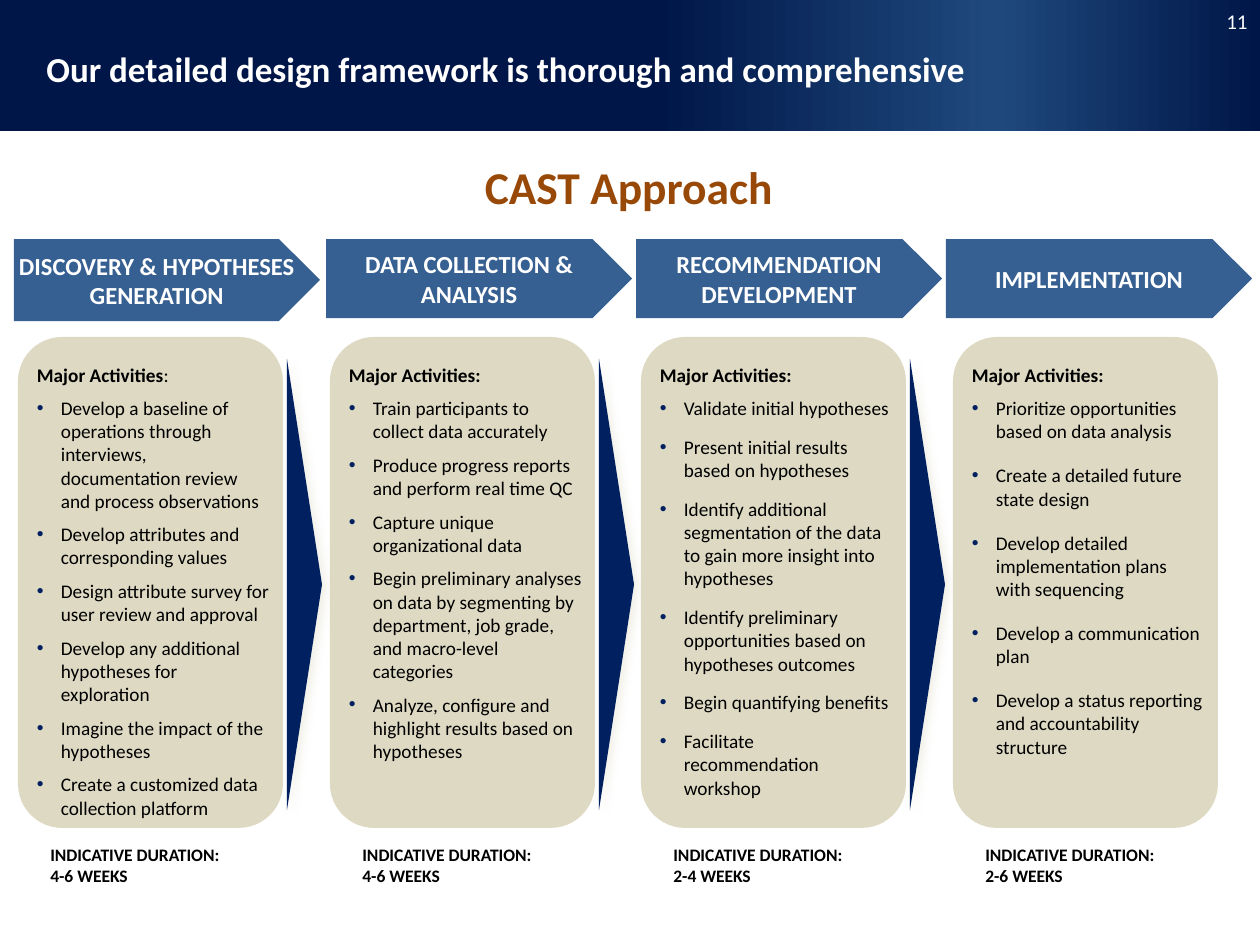
from lxml.etree import SubElement
from pptx import Presentation
from pptx.dml.color import RGBColor
from pptx.enum.shapes import MSO_SHAPE
from pptx.enum.text import MSO_ANCHOR, MSO_AUTO_SIZE, PP_ALIGN
from pptx.oxml.ns import qn
from pptx.util import Emu, Pt

COLORS = {
    "navy": "001648", "glow": "1F497D", "arrow": "002060", "step": "376092",
    "panel": "DDD9C3", "heading": "984807", "shadow": "EEECE1",
    "white": "FFFFFF", "black": "000000",
}
PX = 914400 / 126
FONT = "Calibri"

# Each phase: heading, its left, top and height, activities, space after, duration
PHASES = [
    ("DISCOVERY & HYPOTHESES GENERATION", 14, 82, [
        "Develop a baseline of operations through interviews, "
        "documentation review and process observations",
        "Develop attributes and corresponding values",
        "Design attribute survey for user review and approval",
        "Develop any additional hypotheses for exploration",
        "Imagine the impact of the hypotheses",
        "Create a customized data collection platform",
    ], 0, "4-6 WEEKS"),
    ("DATA COLLECTION & ANALYSIS", 326, 79, [
        "Train participants to collect data accurately",
        "Produce progress reports and perform real time QC",
        "Capture unique organizational data",
        "Begin preliminary analyses on data by segmenting by department, "
        "job grade, and macro-level categories",
        "Analyze, configure and highlight results based on hypotheses",
    ], 0, "4-6 WEEKS"),
    ("RECOMMENDATION DEVELOPMENT", 636, 79, [
        "Validate initial hypotheses",
        "Present initial results based on hypotheses",
        "Identify additional segmentation of the data to gain more insight "
        "into hypotheses",
        "Identify preliminary opportunities based on hypotheses outcomes",
        "Begin quantifying benefits",
        "Facilitate recommendation workshop",
    ], 3, "2-4 WEEKS"),
    ("IMPLEMENTATION", 946, 79, [
        "Prioritize opportunities based on data analysis",
        "Create a detailed future state design",
        "Develop detailed implementation plans with sequencing",
        "Develop a communication plan",
        "Develop a status reporting and accountability structure",
    ], 6, "2-6 WEEKS"),
]


def px(value):
    return Emu(round(value * PX))


class SlideBuilder:
    def __init__(self, slide):
        self.slide = slide

    def format(self, para, size, color, bold):
        for span in para.runs:
            span.font.name = FONT
            span.font.size = Pt(size)
            span.font.bold = bold
            span.font.color.rgb = RGBColor.from_string(COLORS[color])

    def shape(self, kind, bounds, color):
        shape = self.slide.shapes.add_shape(kind, *map(px, bounds))
        shape.shadow.inherit = False
        shape.fill.solid()
        shape.fill.fore_color.rgb = RGBColor.from_string(COLORS[color])
        shape.line.fill.background()
        return shape

    def text(self, bounds, lines, size, color, bold=True, align=PP_ALIGN.LEFT,
             anchor=MSO_ANCHOR.TOP, wrap=True, grow=False):
        box = self.slide.shapes.add_textbox(*map(px, bounds))
        frame = box.text_frame
        frame.word_wrap = wrap
        frame.vertical_anchor = anchor
        frame.auto_size = MSO_AUTO_SIZE.SHAPE_TO_FIT_TEXT if grow else MSO_AUTO_SIZE.NONE
        frame.text = "\n".join(lines)
        for para in frame.paragraphs:
            para.alignment = align
            self.format(para, size, color, bold)
        return box

    def banner(self, bounds, stops):
        banner = self.shape(MSO_SHAPE.RECTANGLE, bounds, "navy")
        banner.fill.gradient()
        banner.fill.gradient_angle = 0
        stop_list = next(banner._element.spPr.iter(qn("a:gsLst")))
        for old_stop in list(stop_list):
            stop_list.remove(old_stop)
        for percent, color in stops:
            stop = SubElement(stop_list, qn("a:gs"), pos=str(percent * 1000))
            SubElement(stop, qn("a:srgbClr"), val=COLORS[color])

    def step(self, bounds, label):
        frame = self.shape(MSO_SHAPE.PENTAGON, bounds, "step").text_frame
        frame.margin_left = frame.margin_right = 0
        frame.margin_top = frame.margin_bottom = 0
        frame.vertical_anchor = MSO_ANCHOR.MIDDLE
        frame.text = label
        frame.paragraphs[0].alignment = PP_ALIGN.CENTER
        self.format(frame.paragraphs[0], 14, "white", True)

    def bullet(self, para):
        properties = para._p.get_or_add_pPr()
        properties.set("marL", str(px(24)))
        properties.set("indent", str(px(-24)))
        bullet_color = SubElement(properties, qn("a:buClr"))
        SubElement(bullet_color, qn("a:srgbClr"), val=COLORS["arrow"])
        SubElement(properties, qn("a:buFont"), typeface="Arial")
        SubElement(properties, qn("a:buChar"), char="•")

    def panel(self, bounds, activities, space_after, bold_colon):
        frame = self.shape(MSO_SHAPE.ROUNDED_RECTANGLE, bounds, "panel").text_frame
        frame.vertical_anchor = MSO_ANCHOR.TOP
        frame.margin_left, frame.margin_top = px(6), px(13)
        frame.margin_right = frame.margin_bottom = 0
        frame.text = "\n".join(["Major Activities"] + activities)
        title, *items = frame.paragraphs
        title.add_run().text = ":"
        for para in frame.paragraphs:
            para.alignment = PP_ALIGN.LEFT
            para.space_before = Pt(6)
            self.format(para, 11, "black", para._p is title._p)
        title.runs[1].font.bold = bold_colon
        for para in items:
            para.space_after = Pt(space_after)
            self.bullet(para)

    def arrow(self, bounds):
        arrow = self.shape(MSO_SHAPE.ISOSCELES_TRIANGLE, bounds, "arrow")
        arrow.rotation = 90
        effects = arrow._element.spPr.find(qn("a:effectLst"))
        shadow = SubElement(effects, qn("a:outerShdw"), blurRad=str(Pt(5)),
                            dist=str(Pt(3)), dir="2700000", rotWithShape="0")
        shade = SubElement(shadow, qn("a:srgbClr"), val=COLORS["shadow"])
        SubElement(shade, qn("a:alpha"), val="75000")


def main():
    deck = Presentation()
    deck.slide_width, deck.slide_height = px(1260), px(945)
    page = SlideBuilder(deck.slides.add_slide(deck.slide_layouts[6]))

    # Banner, page number and titles
    page.banner((0, 0, 1260, 131),
                [(0, "navy"), (52, "navy"), (79, "glow"), (100, "navy")])
    page.text((1210, 2, 50, 38), ["11"], 12, "white", bold=False,
              align=PP_ALIGN.RIGHT, anchor=MSO_ANCHOR.MIDDLE)
    title = page.text((34, 32, 1166, 79),
                      ["Our detailed design framework is thorough and comprehensive"],
                      20, "white", anchor=MSO_ANCHOR.MIDDLE)
    title.text_frame.paragraphs[0].line_spacing = 0.9
    page.text((471, 152, 316, 68), ["CAST Approach"], 26, "heading",
              align=PP_ALIGN.CENTER, anchor=MSO_ANCHOR.BOTTOM, wrap=False, grow=True)

    # One column per phase, with an arrow between neighbours
    for index, (label, step_left, step_height, activities, gap, weeks) in enumerate(PHASES):
        left = round(18 + 311.6 * index)
        page.step((step_left, 239, 306, step_height), label)
        page.panel((left, 337, 265, 491), activities, gap, bold_colon=index > 0)
        page.text((left + 20, 838, 215, 55), ["INDICATIVE DURATION:", weeks],
                  10, "black", grow=True)
        if index < len(PHASES) - 1:
            page.arrow((left + 61, 567, 451, 35))

    deck.save("out.pptx")


if __name__ == "__main__":
    main()
